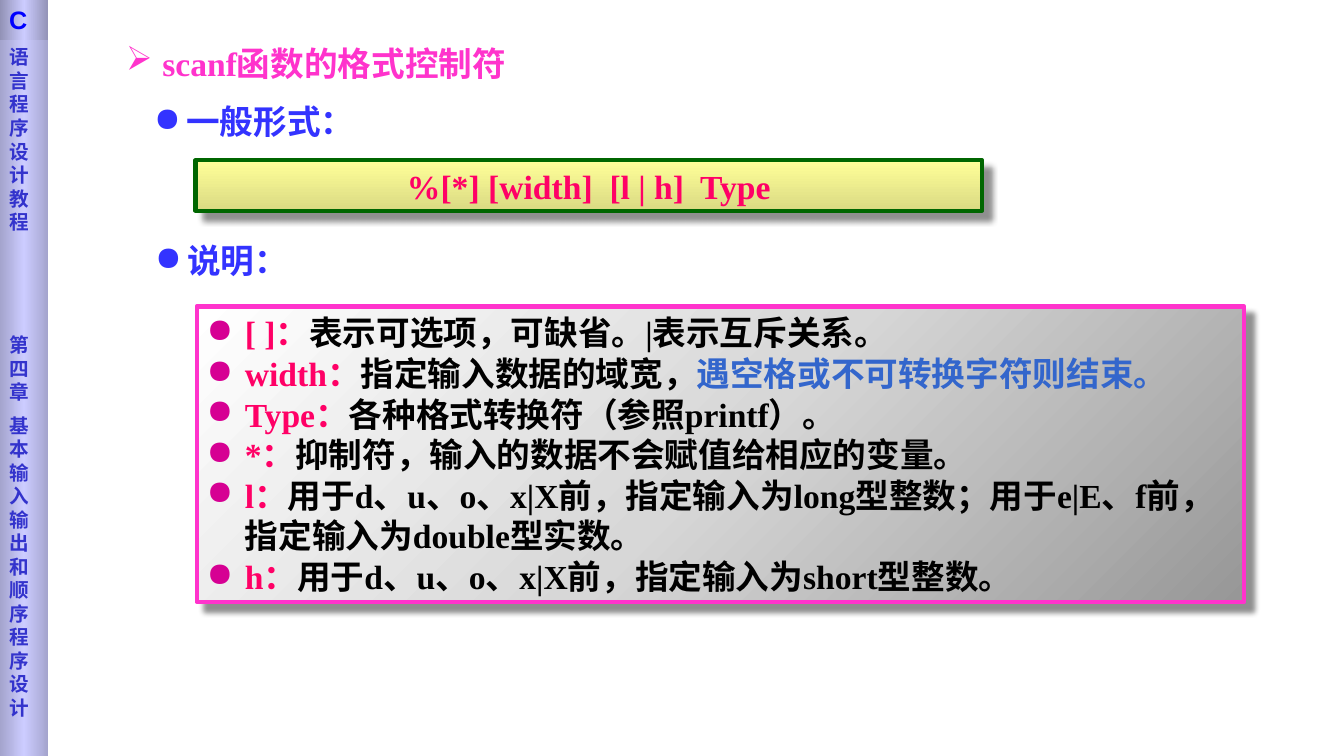
from dataclasses import dataclass

from lxml import etree
from pptx import Presentation
from pptx.dml.color import RGBColor
from pptx.enum import shapes, text
from pptx.oxml import ns
from pptx.util import Inches, Pt

SERIF, SANS, CJK = "Times New Roman", "DejaVu Sans", "Noto Sans CJK SC"
PINK, ROSE, BLUE, BLACK = "FF33CC", "FF0066", "3333FF", "000000"
LEFT, CENTER = text.PP_ALIGN.LEFT, text.PP_ALIGN.CENTER
TOP, MIDDLE = text.MSO_ANCHOR.TOP, text.MSO_ANCHOR.MIDDLE


@dataclass
class Span:
    words: str
    color: str


@dataclass
class Style:
    size: float = 24
    font: str = SERIF
    leading: float = 29
    align: text.PP_ALIGN = LEFT
    bullet: str = ""
    bullet_color: str = ""
    indent: float = 0


@dataclass
class Line:
    spans: list[Span]
    space_before: float = 0


@dataclass
class Panel:
    left: float
    top: float
    width: float
    height: float
    stops: dict[int, str]
    angle: int
    border: str = ""


def rgb(color: str) -> RGBColor:
    return RGBColor.from_string(color)


def add_element(parent, tag: str, **attributes):
    element = etree.SubElement(parent, ns.qn(tag))
    for name, value in attributes.items():
        element.set(name, str(value))
    return element


def set_bullet(paragraph, style: Style) -> None:
    properties = paragraph._p.get_or_add_pPr()
    properties.set("marL", str(Inches(style.indent)))
    properties.set("indent", str(-Inches(style.indent)))
    if style.bullet_color:
        color = add_element(properties, "a:buClr")
        add_element(color, "a:srgbClr", val=style.bullet_color)
    add_element(properties, "a:buChar", char=style.bullet)


def write(shape, lines: list[Line], style: Style, anchor=MIDDLE,
          left: float = 0.1, top: float = 0.05) -> None:
    frame = shape.text_frame
    frame_format = {
        "word_wrap": True, "auto_size": text.MSO_AUTO_SIZE.NONE,
        "vertical_anchor": anchor,
        "margin_left": Inches(left), "margin_right": Inches(0.1),
        "margin_top": Inches(top), "margin_bottom": Inches(0.05),
    }
    for name, value in frame_format.items():
        setattr(frame, name, value)
    for index, line in enumerate(lines):
        paragraph = frame.add_paragraph() if index else frame.paragraphs[0]
        if style.bullet:
            set_bullet(paragraph, style)
        paragraph_format = {
            "alignment": style.align, "line_spacing": Pt(style.leading),
            "space_before": Pt(line.space_before),
        }
        for name, value in paragraph_format.items():
            setattr(paragraph, name, value)
        for span in line.spans:
            run = paragraph.add_run()
            run.text = span.words
            run_format = {"size": Pt(style.size), "name": style.font, "bold": True}
            for name, value in run_format.items():
                setattr(run.font, name, value)
            run.font.color.rgb = rgb(span.color)
            add_element(run._r.get_or_add_rPr(), "a:ea", typeface=CJK)


def fill_gradient(shape, stops: dict[int, str], angle: int) -> None:
    """Fill with colour stops; the angle runs clockwise in degrees."""
    shape.fill.background()
    properties = shape._element.spPr
    blank = properties.find(ns.qn("a:noFill"))
    gradient = etree.Element(ns.qn("a:gradFill"), rotWithShape="1")
    stop_list = add_element(gradient, "a:gsLst")
    for position, color in stops.items():
        stop = add_element(stop_list, "a:gs", pos=position * 1000)
        add_element(stop, "a:srgbClr", val=color)
    add_element(gradient, "a:lin", ang=angle * 60000, scaled=0)
    properties.replace(blank, gradient)


def add_shadow(shape) -> None:
    effects = shape._element.spPr.find(ns.qn("a:effectLst"))
    shadow = add_element(effects, "a:outerShdw", blurRad=Pt(4), dist=Pt(8.4),
                         dir=45 * 60000, algn="ctr", rotWithShape=0)
    color = add_element(shadow, "a:srgbClr", val=BLACK)
    add_element(color, "a:alpha", val=43000)


def add_panel(slide, panel: Panel):
    shape = slide.shapes.add_shape(
        shapes.MSO_SHAPE.RECTANGLE, Inches(panel.left), Inches(panel.top),
        Inches(panel.width), Inches(panel.height))
    shape.shadow.inherit = False
    fill_gradient(shape, panel.stops, panel.angle)
    if panel.border:
        shape.line.color.rgb = rgb(panel.border)
        shape.line.width = Pt(3)
        add_shadow(shape)
    else:
        shape.line.fill.background()
    return shape


def add_heading(slide, words: str, left: float, top: float) -> None:
    box = slide.shapes.add_textbox(Inches(left), Inches(top), Inches(2.63), Inches(0.5))
    style = Style(font=CJK, bullet="●", indent=0.32)
    write(box, [Line([Span(words, BLUE)])], style)


def add_title(slide, words: str) -> None:
    title = slide.shapes.title
    place = {"left": 1.15, "top": 0.37, "width": 5.26, "height": 0.5}
    for name, value in place.items():
        setattr(title, name, Inches(value))
    write(title, [Line([Span(words, PINK)])], Style(bullet="➢", indent=0.36))


def add_sidebar(slide) -> None:
    strip = add_panel(slide, Panel(0, 0, 0.48, 7.5,
                                   {0: "A4A4CD", 50: "CCCCFF", 100: "A4A4CD"}, 0))
    chapters = {"语言程序设计教程": 0, "第四章": 71, "基本输入输出和顺序程序设计": 7}
    lines = [Line([Span(words, "3333CC")], gap) for words, gap in chapters.items()]
    write(strip, lines, Style(14, SANS, 16.8), TOP, left=0.09, top=0.45)
    head = add_panel(slide, Panel(0, 0, 0.48, 0.4,
                                  {0: "9292B6", 50: "CCCCFF", 100: "9292B6"}, 0))
    write(head, [Line([Span("C", "0000FF")])], Style(18, "Arial", 21), left=0.09)


def main() -> None:
    presentation = Presentation()
    presentation.slide_width, presentation.slide_height = Inches(13.33), Inches(7.5)
    slide = presentation.slides.add_slide(presentation.slide_layouts[5])

    add_title(slide, "scanf函数的格式控制符")
    syntax = add_panel(slide, Panel(1.94, 1.59, 7.8, 0.5,
                                    {0: "FFFF99", 100: "DADA83"}, 90, "006600"))
    write(syntax, [Line([Span("%[*] [width]  [l | h]  Type", ROSE)])], Style(align=CENTER))
    add_heading(slide, "一般形式：", 1.43, 0.95)
    add_heading(slide, "说明：", 1.44, 2.33)

    notes = {
        "[ ]：": "表示可选项，可缺省。|表示互斥关系。",
        "width：": "指定输入数据的域宽，",
        "Type：": "各种格式转换符（参照printf）。",
        "*：": "抑制符，输入的数据不会赋值给相应的变量。",
        "l：": "用于d、u、o、x|X前，指定输入为long型整数；用于e|E、f前，指定输入为double型实数。",
        "h：": "用于d、u、o、x|X前，指定输入为short型整数。",
    }
    lines = [Line([Span(term, ROSE), Span(meaning, BLACK)])
             for term, meaning in notes.items()]
    lines[1].spans.append(Span("遇空格或不可转换字符则结束。", "3366CC"))
    details = add_panel(slide, Panel(1.95, 3.04, 10.39, 2.93,
                                     {0: "979797", 50: "D7D7D7", 100: "FFFFFF"}, 225, PINK))
    write(details, lines, Style(bullet="●", bullet_color="D60093", indent=0.38))
    add_sidebar(slide)
    presentation.save("out.pptx")


if __name__ == "__main__":
    main()
